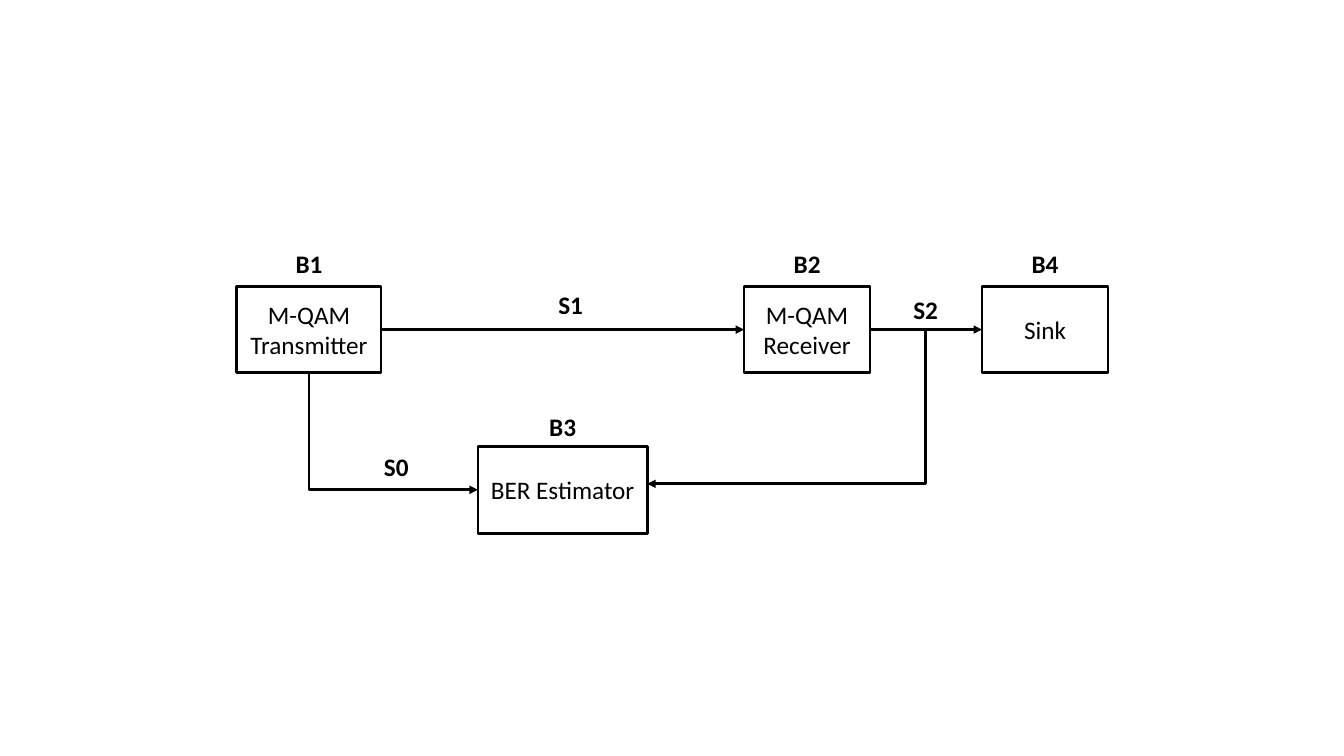
import dataclasses

import pptx
import pptx.dml.color
import pptx.enum.shapes
import pptx.enum.text
import pptx.oxml
import pptx.oxml.ns
import pptx.shapes.autoshape
import pptx.shapes.base
import pptx.shapes.connector
import pptx.text.text
import pptx.util

Inches = pptx.util.Inches
BLACK = pptx.dml.color.RGBColor(0, 0, 0)
FONT = {"name": "Calibri", "size": pptx.util.Pt(18)}
KIND = pptx.enum.shapes.MSO_CONNECTOR
MID = 3.27  # height of the main signal path
HIGH = 0.86  # height of every block


@dataclasses.dataclass
class Block:
    """A named step of the signal chain."""
    name: str
    text: str
    left: float
    top: float
    width: float
    rise: float = 0.43  # from the block's top up to its label's top


@dataclasses.dataclass
class Label:
    """A bold tag centred on x."""
    text: str
    x: float
    top: float
    width: float = 0.48
    height: float = 0.4


ROW = MID - HIGH / 2
BLOCKS = [
    Block("B1", "M-QAM Transmitter", 2.35, ROW, 1.43),
    Block("B2", "M-QAM Receiver", 7.38, ROW, 1.25),
    Block("B3", "BER Estimator", 4.74, 4.43, 1.68, 0.4),
    Block("B4", "Sink", 9.74, ROW, 1.25),
]
SIGNALS = [Label("S1", 5.66, 2.82), Label("S2", 9.18, 2.87), Label("S0", 3.93, 4.43)]

deck = pptx.Presentation()
deck.slide_width, deck.slide_height = Inches(13.33), Inches(7.5)
slide = deck.slides.add_slide(deck.slide_layouts[6])


def write(frame: pptx.text.text.TextFrame, text: str, bold: bool) -> None:
    """Put centred black text into a frame."""
    frame.text = text
    line = frame.paragraphs[0]
    line.alignment = pptx.enum.text.PP_ALIGN.CENTER
    font = line.runs[0].font
    for key, value in {**FONT, "bold": bold}.items():
        setattr(font, key, value)
    font.color.rgb = BLACK


def ink(shape: pptx.shapes.base.BaseShape) -> None:
    """Give a shape or connector the black two-point line."""
    shape.line.color.rgb = BLACK
    shape.line.width = pptx.util.Pt(2)


def draw_block(block: Block) -> pptx.shapes.autoshape.Shape:
    """Draw an open box with its text in the middle."""
    box = slide.shapes.add_shape(
        pptx.enum.shapes.MSO_SHAPE.RECTANGLE,
        *map(Inches, (block.left, block.top, block.width, HIGH)))
    box.shadow.inherit = False
    box.fill.background()
    ink(box)
    box.text_frame.word_wrap = True
    box.text_frame.vertical_anchor = pptx.enum.text.MSO_ANCHOR.MIDDLE
    write(box.text_frame, block.text, False)
    return box


def draw_label(label: Label) -> None:
    """Draw a tag centred on its x."""
    left = label.x - label.width / 2
    box = slide.shapes.add_textbox(
        *map(Inches, (left, label.top, label.width, label.height)))
    box.text_frame.word_wrap = False
    box.text_frame.auto_size = pptx.enum.text.MSO_AUTO_SIZE.SHAPE_TO_FIT_TEXT
    write(box.text_frame, label.text, True)


def draw_line(kind: KIND, ends: tuple[float, float, float, float],
              tip: str) -> pptx.shapes.connector.Connector:
    """Draw a connector with an arrow at its headEnd or tailEnd."""
    wire = slide.shapes.add_connector(kind, *map(Inches, ends))
    ink(wire)
    props = wire.element.spPr
    space = pptx.oxml.ns.nsdecls("a")
    props.find(pptx.oxml.ns.qn("a:ln")).append(
        pptx.oxml.parse_xml(f'<a:{tip} {space} type="triangle"/>'))
    props.append(pptx.oxml.parse_xml(f"<a:effectLst {space}/>"))
    return wire


def draw_link(first: Block, last: Block) -> None:
    """Join two blocks of the main path, right side to left side."""
    ends = (first.left + first.width, MID, last.left, MID)
    wire = draw_line(KIND.STRAIGHT, ends, "tailEnd")
    wire.begin_connect(boxes[first.name], 3)
    wire.end_connect(boxes[last.name], 1)


def draw_bend(tip: tuple[float, float], start: tuple[float, float]) -> None:
    """Draw a one-corner line, level at its arrow tip, upright at its start."""
    wire = draw_line(KIND.ELBOW, (*tip, *start), "headEnd")
    wire.element.spPr.find(pptx.oxml.ns.qn("a:prstGeom")).set("prst", "bentConnector2")


boxes = {block.name: draw_block(block) for block in BLOCKS}
send, take, rate, sink = BLOCKS

draw_link(send, take)
draw_link(take, sink)
draw_bend((rate.left, rate.top + HIGH / 2), (send.left + send.width / 2, ROW + HIGH))
draw_bend((rate.left + rate.width, 4.8), (9.18, MID))

for block in BLOCKS:
    middle = block.left + block.width / 2
    draw_label(Label(block.name, middle, block.top - block.rise, 0.49, 0.41))
for signal in SIGNALS:
    draw_label(signal)

deck.save("out.pptx")
